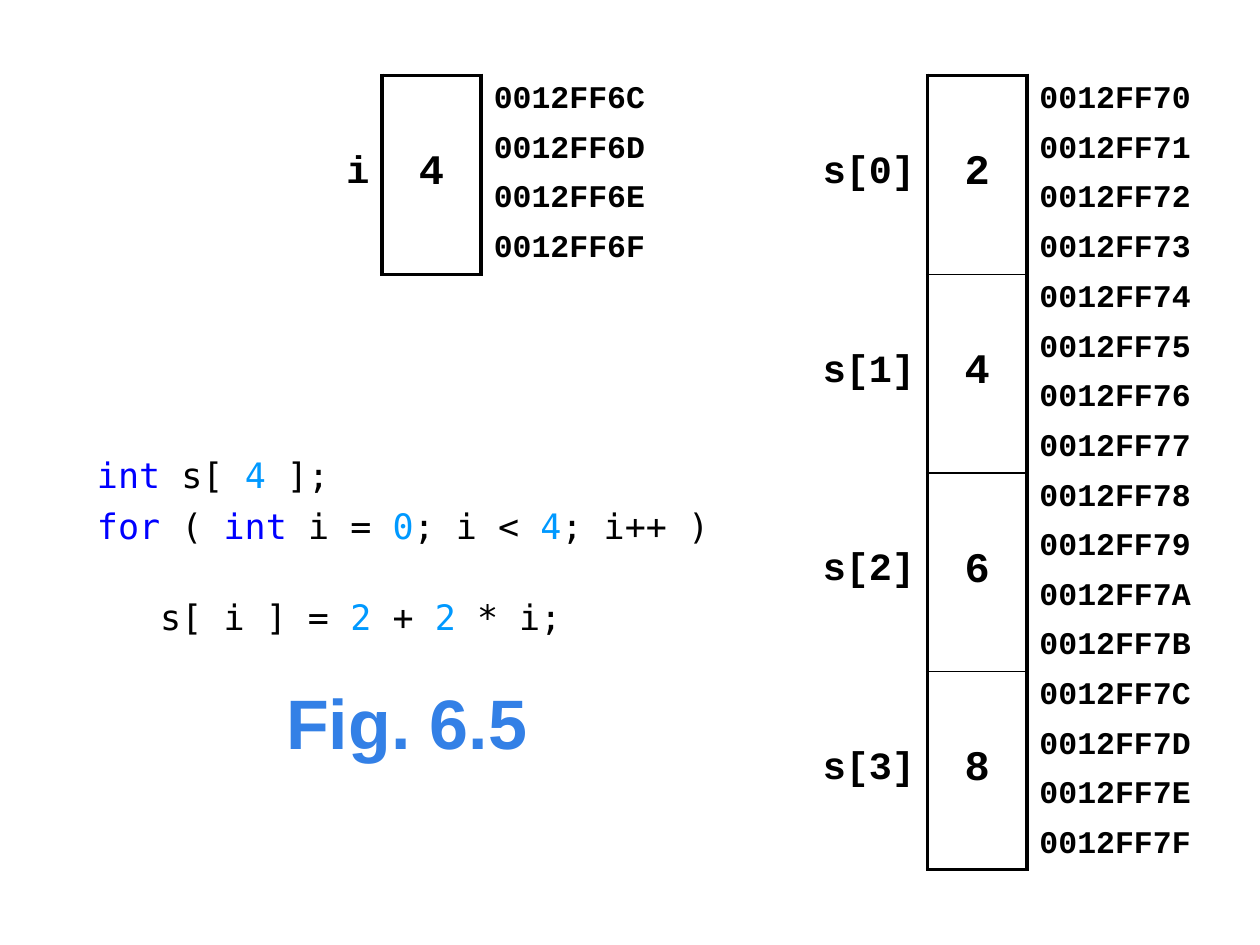
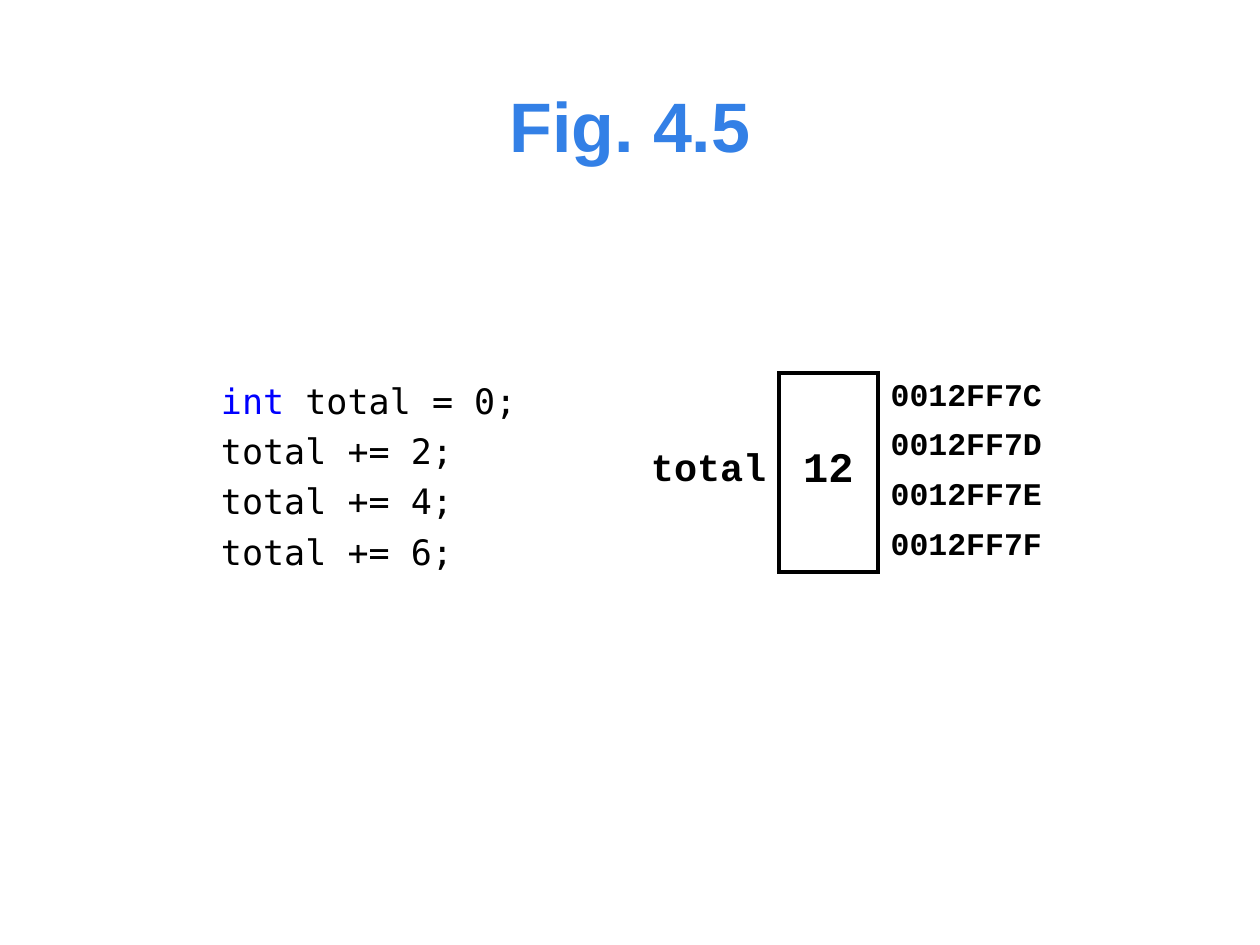
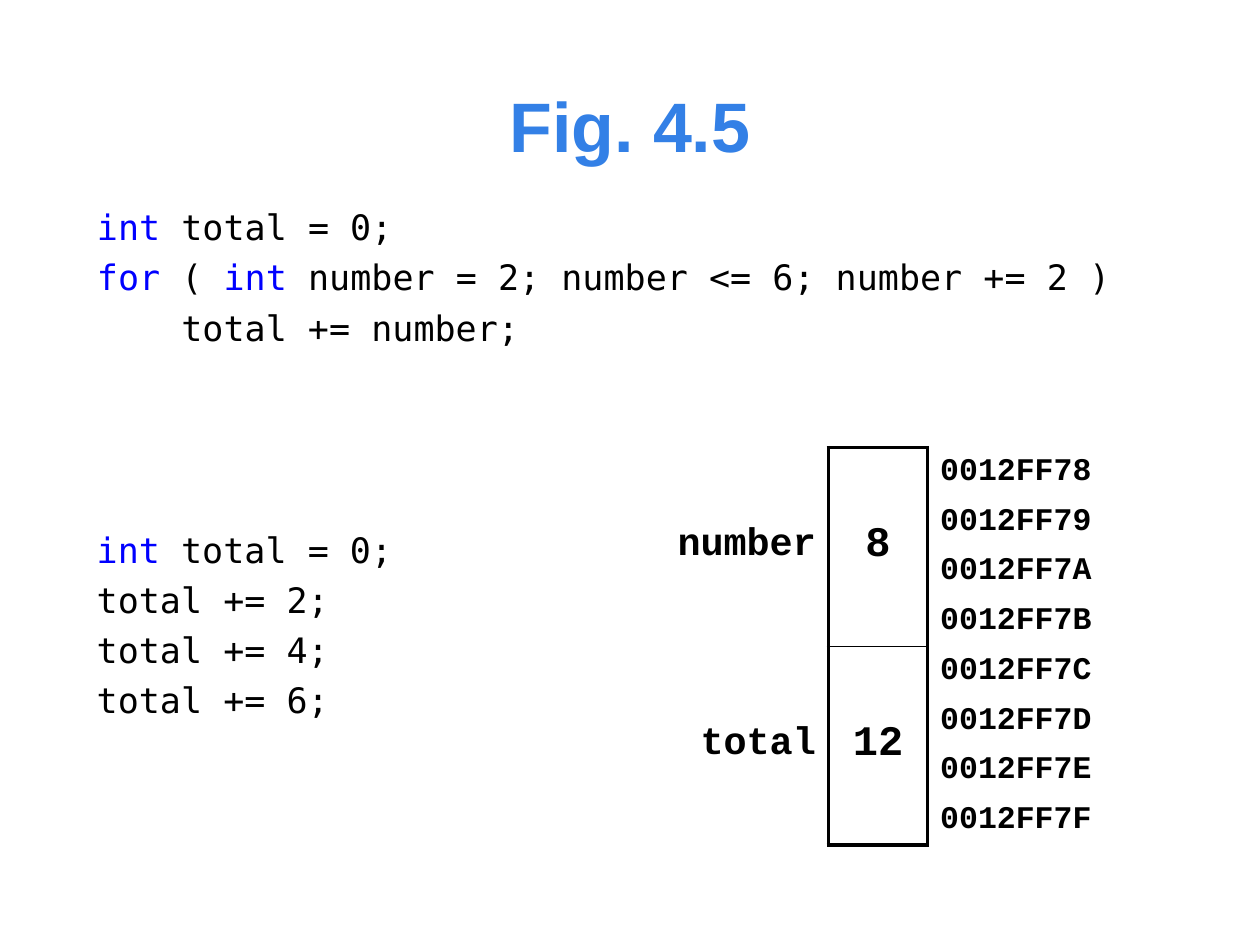
from lxml.etree import SubElement
from pptx import Presentation
from pptx.dml.color import RGBColor
from pptx.enum.text import MSO_ANCHOR, MSO_AUTO_SIZE, PP_ALIGN
from pptx.oxml import parse_xml
from pptx.oxml.ns import nsdecls, qn
from pptx.util import Cm, Pt

HUES = {"title": "3380E6", "text": "000000", "word": "0000FF", "digit": "0099FF"}
FONTS = {
    "title": {"name": "Arial", "size": Pt(40), "bold": True},
    "code": {"name": "DejaVu Sans Mono", "size": Pt(20), "bold": False},
    "label": {"name": "Courier New", "size": Pt(22), "bold": True},
    "value": {"name": "Courier New", "size": Pt(24), "bold": True},
    "byte": {"name": "Courier New", "size": Pt(18), "bold": True},
}
CELLS = {
    "label": {"margin_top": 0, "margin_bottom": Cm(0.05)},
    "value": {"margin_top": 0, "margin_bottom": Cm(0.05)},
    "byte": {"margin_top": Cm(0.1), "margin_bottom": Cm(0.1)},
}
ALIGNS = {"label": PP_ALIGN.RIGHT, "value": PP_ALIGN.CENTER, "byte": PP_ALIGN.LEFT}
FRAME = {"word_wrap": True, "auto_size": MSO_AUTO_SIZE.NONE}
PLAIN = "{2D5ABB26-0587-4C30-8999-92F81FD0307C}"
BYTES = 4
THICK, THIN = 2.25, 1
GAP = 4.7

sums = [
    ["int", " total = 0;"],
    ["total += 2;"],
    ["total += 4;"],
    ["total += 6;"],
]
fill = [
    ["int", " s[ ", "4", " ];"],
    ["for", " ( ", "int ", "i = ", "0", "; i < ", "4", "; i++ )"],
    ["   s[ i ] = ", "2", " + ", "2", " * i;"],
]
loop = [
    ["int", " total = 0;"],
    ["for", " ( ", "int ", "number = 2; number <= 6; number += 2 )"],
    ["    total += number;"],
]

# Boxes are left, top, width, height in centimetres.
# Code: box, lines, space before the last line.
# Grids: left, top, label width, first address, variables.
pages = [
    {
        "title": ("Fig. 6.5", (3.2, 13.54, 10, 2)),
        "codes": [((1.7, 9.02, 13, 3.5), fill, 28)],
        "grids": [
            (16.2, 1.52, 2.5, 0x12FF70,
             [("s[0]", 2), ("s[1]", 4), ("s[2]", 6), ("s[3]", 8)]),
            (6.7, 1.52, 1, 0x12FF6C, [("i", 4)]),
        ],
    },
    {
        "title": ("Fig. 4.5", (8.2, 1.52, 9, 2)),
        "codes": [((4.2, 7.52, 6.5, 4.5), sums, GAP)],
        "grids": [(12.7, 7.52, 3, 0x12FF7C, [("total", 12)])],
    },
    {
        "title": ("Fig. 4.5", (8.2, 1.52, 9, 2)),
        "codes": [
            ((1.7, 4.02, 22, 3.5), loop, GAP),
            ((1.7, 10.52, 6.5, 4.5), sums, GAP),
        ],
        "grids": [(13.2, 9.02, 3.5, 0x12FF78, [("number", 8), ("total", 12)])],
    },
]


def dress(item, values):
    for key, value in values.items():
        setattr(item, key, value)


def write(para, text, font, hue="text"):
    run = para.add_run()
    run.text = text
    dress(run.font, FONTS[font])
    run.font.color.rgb = RGBColor.from_string(HUES[hue])


deck = Presentation()
dress(deck, {"slide_width": Cm(25.4), "slide_height": Cm(19.05)})

for page in pages:
    slide = deck.slides.add_slide(deck.slide_layouts[1])
    head, body = slide.placeholders

    text, box = page["title"]
    dress(head, dict(zip(("left", "top", "width", "height"), map(Cm, box))))
    dress(head.text_frame, FRAME | {"vertical_anchor": MSO_ANCHOR.MIDDLE})
    para = head.text_frame.paragraphs[0]
    para.alignment = PP_ALIGN.CENTER
    write(para, text, "title", "title")

    for order, (box, lines, last) in enumerate(page["codes"]):
        place = [Cm(size) for size in box]
        shape = slide.shapes.add_textbox(*place) if order else body
        dress(shape, dict(zip(("left", "top", "width", "height"), place)))
        frame = shape.text_frame
        dress(frame, FRAME)
        for row, line in enumerate(lines):
            para = frame.add_paragraph() if row else frame.paragraphs[0]
            props = para._p.get_or_add_pPr()
            props.set("marL", "0")
            props.set("indent", "0")
            SubElement(props, qn("a:buNone"))
            gap = last if row == len(lines) - 1 else GAP
            para.space_before = Pt(gap if row else 0)
            for piece in line:
                mark = piece.strip()
                hue = "word" if mark in ("int", "for") else "digit" if mark.isdigit() else "text"
                write(para, piece, "code", hue)

    for left, top, wide, start, pairs in page["grids"]:
        count = BYTES * len(pairs)
        widths = (wide, 2, 4)
        table = slide.shapes.add_table(
            count, 3, Cm(left), Cm(top), Cm(sum(widths)), Cm(count)
        ).table
        dress(table, {"first_row": False, "horz_banding": False})
        table._tbl.tblPr.find(qn("a:tableStyleId")).text = PLAIN
        for column, width in zip(table.columns, widths):
            column.width = Cm(width)
        for row in range(count):
            table.rows[row].height = Cm(1)
            item, step = divmod(row, BYTES)
            if step == 0:
                for col in (0, 1):
                    table.cell(row, col).merge(table.cell(row + BYTES - 1, col))
            label, value = pairs[item]
            texts = {"label": label, "value": str(value), "byte": f"{start + row:08X}"}
            edges = {
                "label": {"R": THICK},
                "value": {
                    "L": THICK,
                    "R": THICK,
                    "T": THIN if item else THICK,
                    "B": THIN if item < len(pairs) - 1 else THICK,
                },
                "byte": {"L": THICK},
            }
            for col, (kind, text) in enumerate(texts.items()):
                cell = table.cell(row, col)
                dress(cell, CELLS[kind] | {"vertical_anchor": MSO_ANCHOR.MIDDLE})
                cell.fill.background()
                for spot, (side, weight) in enumerate(edges[kind].items()):
                    cell._tc.tcPr.insert(spot, parse_xml(
                        f'<a:ln{side} {nsdecls("a")} w="{Pt(weight)}"><a:solidFill>'
                        f'<a:srgbClr val="{HUES["text"]}"/></a:solidFill></a:ln{side}>'
                    ))
                if not cell.is_spanned:
                    para = cell.text_frame.paragraphs[0]
                    para.alignment = ALIGNS[kind]
                    write(para, text, kind)

deck.save("out.pptx")
